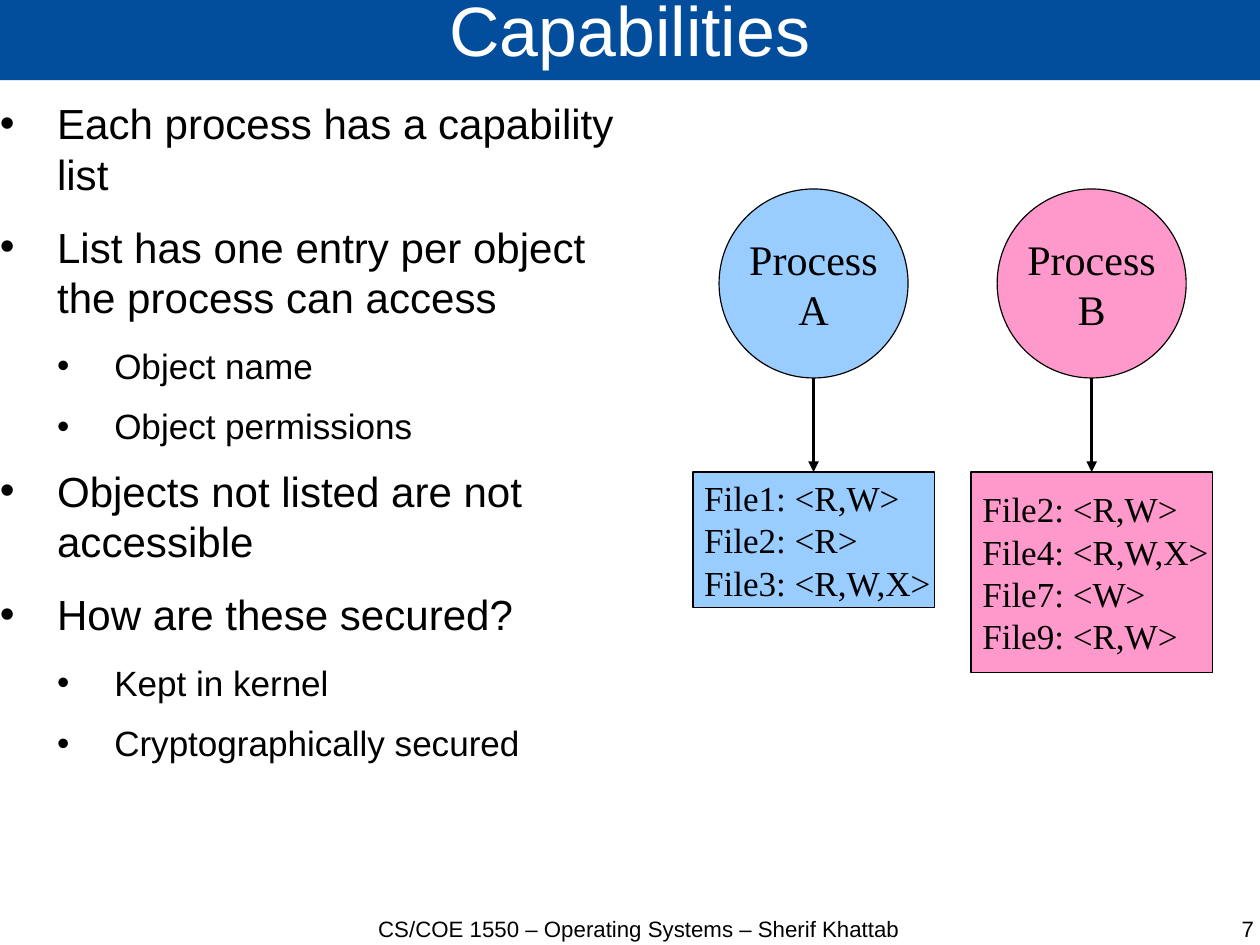
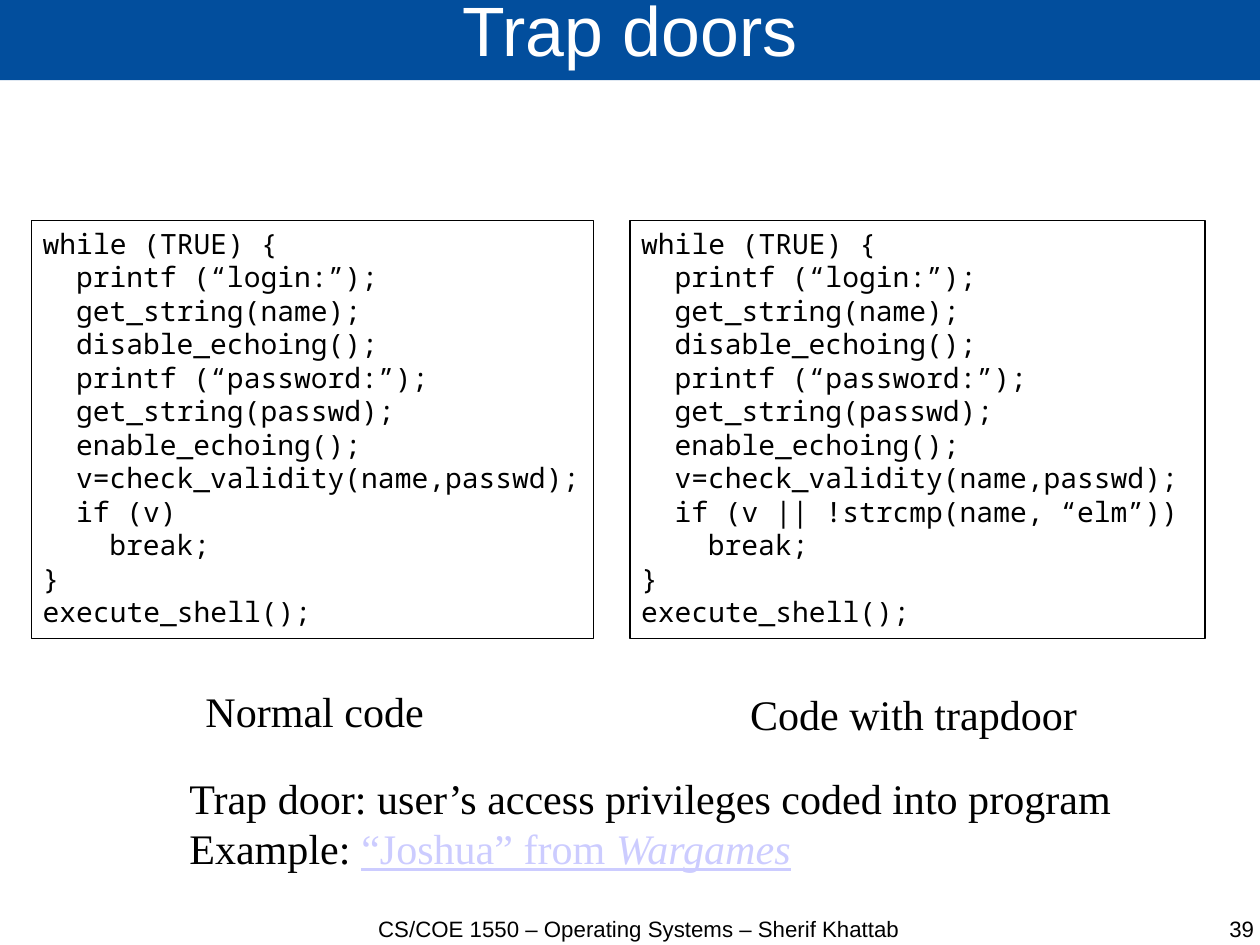
import pptx
import pptx.dml.color
import pptx.enum.shapes
import pptx.enum.text
import pptx.oxml
import pptx.oxml.ns
import pptx.util

Cm = pptx.util.Cm
Pt = pptx.util.Pt
ALIGN = pptx.enum.text.PP_ALIGN
ANCHOR = pptx.enum.text.MSO_ANCHOR
SHAPE = pptx.enum.shapes.MSO_SHAPE
NAMESPACE = pptx.oxml.ns.nsdecls("a")

BLACK, WHITE, BAND = "000000", "FFFFFF", "024E9D"
BLUE, PINK, LINK = "99CCFF", "FF99CC", "CCCCFF"
SANS, SERIF, MONO = "Arial", "Times New Roman", "Noto Sans Mono"
LARGE, MEDIUM, CODE_SIZE, SMALL = Pt(26.5), Pt(22.1), Pt(17.6), Pt(14)

CODE = """while (TRUE) {{
  printf (“login:”);
  get_string(name);
  disable_echoing();
  printf (“password:”);
  get_string(passwd);
  enable_echoing();
  v=check_validity(name,passwd);
  if ({condition})
    break;
}}
execute_shell();"""


def colour(value):
    return pptx.dml.color.RGBColor.from_string(value)


def style(target, values):
    for name, value in values.items():
        setattr(target, name, value)


class Deck:
    footer = "CS/COE 1550 – Operating Systems – Sherif Khattab"
    no_insets = dict.fromkeys(
        ("margin_left", "margin_top", "margin_right", "margin_bottom"), 0)

    def __init__(self):
        self.deck = pptx.Presentation()
        style(self.deck, {"slide_width": Cm(28), "slide_height": Cm(21)})
        self.page = None

    def add_page(self, title, number):
        self.page = self.deck.slides.add_slide(self.deck.slide_layouts[5])
        box = self.page.shapes.title
        style(box, {"left": 0, "top": Cm(-0.05),
                    "width": Cm(28), "height": Cm(1.83)})
        self.fill(box, BAND)
        self.frame(box, anchor=ANCHOR.MIDDLE, insets=False)
        self.add_span(box.text_frame.paragraphs[0], title,
                      {"size": Pt(44), "name": SANS}, WHITE,
                      {"alignment": ALIGN.CENTER, "line_spacing": 0.69})
        self.label(self.footer, (7.8, 20.35, 12.8, 1.4), SANS, SMALL,
                   ALIGN.CENTER, wrap=True, insets=False)
        self.label(number, (21.44, 20.35, 6.43, 1.4), SANS, SMALL,
                   ALIGN.RIGHT, wrap=True, insets=False)

    def fill(self, box, value):
        if value is None:
            box.fill.background()
        else:
            box.fill.solid()
            box.fill.fore_color.rgb = colour(value)

    def frame(self, box, anchor=ANCHOR.TOP, wrap=True, insets=True):
        values = {"auto_size": pptx.enum.text.MSO_AUTO_SIZE.NONE,
                  "word_wrap": wrap, "vertical_anchor": anchor}
        style(box.text_frame, values if insets else values | self.no_insets)

    def add_span(self, para, text, font, value=BLACK, layout=None):
        style(para, layout or {})
        span = para.add_run()
        span.text = text
        style(span.font, font)
        span.font.color.rgb = colour(value)

    def paragraphs(self, box, count):
        first = box.text_frame.paragraphs[0]
        return [first] + [box.text_frame.add_paragraph()
                          for _ in range(count - 1)]

    def lines(self, box, text, name, size, alignment=ALIGN.LEFT):
        rows = text.split("\n")
        for para, row in zip(self.paragraphs(box, len(rows)), rows):
            code = row.lstrip()
            self.indent(para, (len(row) - len(code)) * 0.37)
            self.add_span(para, code, {"size": size, "name": name},
                          layout={"alignment": alignment})

    def indent(self, para, left, hanging=0):
        properties = para._p.get_or_add_pPr()
        properties.set("marL", str(Cm(left)))
        properties.set("indent", str(-Cm(hanging)))
        return properties

    def label(self, text, place, name, size, alignment=ALIGN.LEFT,
              wrap=False, insets=True):
        box = self.page.shapes.add_textbox(*map(Cm, place))
        self.frame(box, wrap=wrap, insets=insets)
        self.lines(box, text, name, size, alignment)
        return box

    def shape(self, preset, text, place, fill, name, size,
              alignment=ALIGN.LEFT, anchor=ANCHOR.MIDDLE, wrap=False):
        box = self.page.shapes.add_shape(preset, *map(Cm, place))
        box.shadow.inherit = False
        self.fill(box, fill)
        box.line.color.rgb = colour(BLACK)
        box.line.width = Pt(0.75)
        self.frame(box, anchor, wrap)
        self.lines(box, text, name, size, alignment)

    def bullets(self, items, place):
        box = self.page.shapes.add_textbox(*map(Cm, place))
        self.frame(box, insets=False)
        styles = ((LARGE, Pt(14.2)), (MEDIUM, Pt(11.4)))
        for para, (level, text) in zip(self.paragraphs(box, len(items)), items):
            size, gap = styles[level]
            self.add_span(para, text, {"size": size, "name": SANS},
                          layout={"level": level, "space_after": gap})
            properties = self.indent(para, 1.27 * (level + 1), 1.27)
            for xml in (
                    f'<a:buClr {NAMESPACE}><a:srgbClr val="{BLACK}"/></a:buClr>',
                    f'<a:buFont {NAMESPACE} typeface="{SANS}"/>',
                    f'<a:buChar {NAMESPACE} char="•"/>'):
                properties.append(pptx.oxml.parse_xml(xml))

    def arrow(self, x, top, bottom):
        line = self.page.shapes.add_connector(
            pptx.enum.shapes.MSO_CONNECTOR.STRAIGHT,
            *map(Cm, (x, top, x, bottom)))
        line.line.color.rgb = colour(BLACK)
        line.line.width = Pt(2.25)
        line.line._get_or_add_ln().append(pptx.oxml.parse_xml(
            f'<a:tailEnd {NAMESPACE} type="triangle"/>'))
        line._element.spPr.append(
            pptx.oxml.parse_xml(f"<a:effectLst {NAMESPACE}/>"))

    def process(self, name, capabilities, centre, list_height, fill):
        circle, circle_top, list_top, list_width = 4.2, 4.2, 10.49, 5.36
        self.shape(SHAPE.RECTANGLE, capabilities,
                   (centre - list_width / 2, list_top, list_width, list_height),
                   fill, SERIF, MEDIUM)
        self.arrow(centre, circle_top + circle, list_top)
        self.shape(SHAPE.OVAL, f"Process\n{name}",
                   (centre - circle / 2, circle_top, circle, circle),
                   fill, SERIF, LARGE, ALIGN.CENTER)


def capabilities_page(deck):
    deck.add_page("Capabilities", "7")
    deck.bullets((
        (0, "Each process has a capability list"),
        (0, "List has one entry per object the process can access"),
        (1, "Object name"),
        (1, "Object permissions"),
        (0, "Objects not listed are not accessible"),
        (0, "How are these secured?"),
        (1, "Kept in kernel"),
        (1, "Cryptographically secured"),
    ), (0, 2.17, 14, 18.1))
    deck.process("A", "File1: <R,W>\nFile2: <R>\nFile3: <R,W,X>",
                 18.08, 3.02, BLUE)
    deck.process("B", "File2: <R,W>\nFile4: <R,W,X>\nFile7: <W>\nFile9: <R,W>",
                 24.26, 4.45, PINK)


def trap_doors_page(deck):
    deck.add_page("Trap doors", "39")
    for condition, left, width in (
            ("v", 0.7, 12.5), ("v || !strcmp(name, “elm”)", 14, 12.78)):
        deck.shape(SHAPE.RECTANGLE, CODE.format(condition=condition),
                   (left, 4.9, width, 9.3), None, MONO, CODE_SIZE,
                   anchor=ANCHOR.TOP, wrap=True)
    for caption, place in (("Normal code", (4.29, 15.11, 5.41, 1.4)),
                           ("Code with trapdoor", (16.38, 15.17, 7.85, 1.4))):
        deck.label(caption, place, SERIF, LARGE, ALIGN.CENTER)
    box = deck.label(
        "Trap door: user’s access privileges coded into program\nExample: ",
        (3.96, 17.04, 21.16, 2.51), SERIF, LARGE)
    for text, italic in (("“Joshua” from ", False), ("Wargames", True)):
        deck.add_span(box.text_frame.paragraphs[-1], text,
                      {"size": LARGE, "name": SERIF, "underline": True,
                       "italic": italic}, LINK)


def main():
    deck = Deck()
    capabilities_page(deck)
    trap_doors_page(deck)
    deck.deck.save("out.pptx")


if __name__ == "__main__":
    main()
